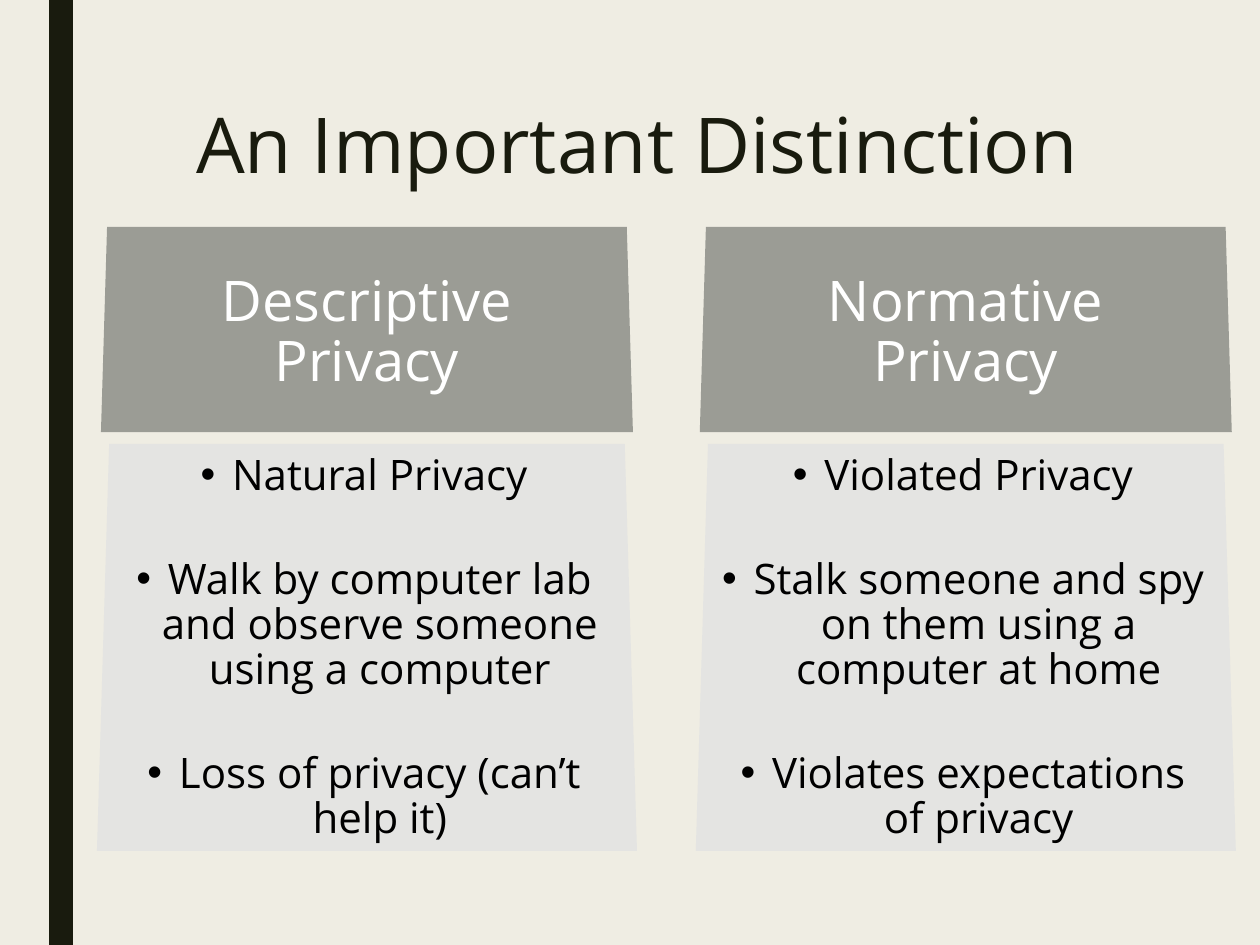
import pptx
import pptx.util
import pptx.dml.color
import pptx.enum.shapes
import pptx.enum.text
import pptx.oxml.ns
import lxml.etree

Pt = pptx.util.Pt
RGB = pptx.dml.color.RGBColor
PAPER = RGB(0xEF, 0xED, 0xE3)
INK = RGB(0x19, 0x1B, 0x0E)
GREY = RGB(0x9B, 0x9C, 0x95)
PALE = RGB(0xE4, 0xE4, 0xE2)
WHITE = RGB(0xFF, 0xFF, 0xFF)
BLACK = RGB(0, 0, 0)


class Deck:
    font = "Open Sans"

    def __init__(self, prs):
        self.s = prs.slides.add_slide(prs.slide_layouts[6])
        self.s.background.fill.solid()
        self.s.background.fill.fore_color.rgb = PAPER

    def paint(self, sp, color):
        sp.shadow.inherit = False
        sp.fill.solid()
        sp.fill.fore_color.rgb = color
        sp.line.fill.background()
        return sp

    def bar(self, x, y, w, h, color):
        kind = pptx.enum.shapes.MSO_SHAPE.RECTANGLE
        sp = self.s.shapes.add_shape(kind, Pt(x), Pt(y), Pt(w), Pt(h))
        return self.paint(sp, color)

    def trapezoid(self, x, y, w, h, slant, color):
        fb = self.s.shapes.build_freeform(Pt(x + slant), Pt(y))
        corners = [(x + w - slant, y), (x + w, y + h), (x, y + h)]
        fb.add_line_segments([(Pt(a), Pt(b)) for a, b in corners])
        return self.paint(fb.convert_to_shape(), color)

    def box(self, x, y, w, h):
        return self.s.shapes.add_textbox(Pt(x), Pt(y), Pt(w), Pt(h))

    def text(self, sp, lines, size, color, pitch, insets, gap=0, bullet=False):
        tf = sp.text_frame
        left, top, right = insets
        frame = {"word_wrap": True, "margin_left": Pt(left),
                 "margin_top": Pt(top), "margin_right": Pt(right),
                 "margin_bottom": Pt(0),
                 "vertical_anchor": pptx.enum.text.MSO_ANCHOR.TOP}
        for name, value in frame.items():
            setattr(tf, name, value)
        for i, line in enumerate(lines):
            p = tf.add_paragraph() if i else tf.paragraphs[0]
            p.alignment = pptx.enum.text.PP_ALIGN.CENTER
            p.line_spacing = Pt(pitch)
            p.space_before = Pt(gap if i else 0)
            r = p.add_run()
            r.text = line
            for name, value in {"name": self.font, "size": Pt(size)}.items():
                setattr(r.font, name, value)
            r.font.color.rgb = color
            if bullet:
                self.bullet(p)

    def bullet(self, p):
        pPr = p._p.get_or_add_pPr()
        pPr.set("marL", str(Pt(18)))
        pPr.set("indent", str(Pt(-18)))
        qn = pptx.oxml.ns.qn
        lxml.etree.SubElement(pPr, qn("a:buFont")).set("typeface", "Arial")
        lxml.etree.SubElement(pPr, qn("a:buChar")).set("char", "•")


prs = pptx.Presentation()
prs.slide_width, prs.slide_height = Pt(720), Pt(540)
deck = Deck(prs)

# Side bar and title
deck.bar(28, 0, 13.7, 540, INK)
title = deck.box(80.6, 54, 567.4, 116.6)
deck.text(title, ["An Important Distinction"], 44, INK, 47, (7.2, 6.8, 7.2))

# Two columns, each with a heading and a list
COLUMNS = [
    ("Descriptive Privacy",
     ["Natural Privacy",
      "Walk by computer lab and observe someone using a computer",
      "Loss of privacy (can’t help it)"]),
    ("Normative Privacy",
     ["Violated Privacy",
      "Stalk someone and spy on them using a computer at home",
      "Violates expectations of privacy"]),
]
for i, (heading, points) in enumerate(COLUMNS):
    x = 55.4 + 342.2 * i
    head = deck.trapezoid(x + 2.3, 129.7, 304, 117.2, 3.5, GREY)
    deck.text(head, [heading], 32, WHITE, 34.3, (20, 26, 20))
    body = deck.trapezoid(x, 253.7, 308.6, 232.6, 7, PALE)
    deck.text(body, points, 24, BLACK, 25.7, (13.6, 5.9, 16.9),
              gap=33.7, bullet=True)

prs.save("out.pptx")
